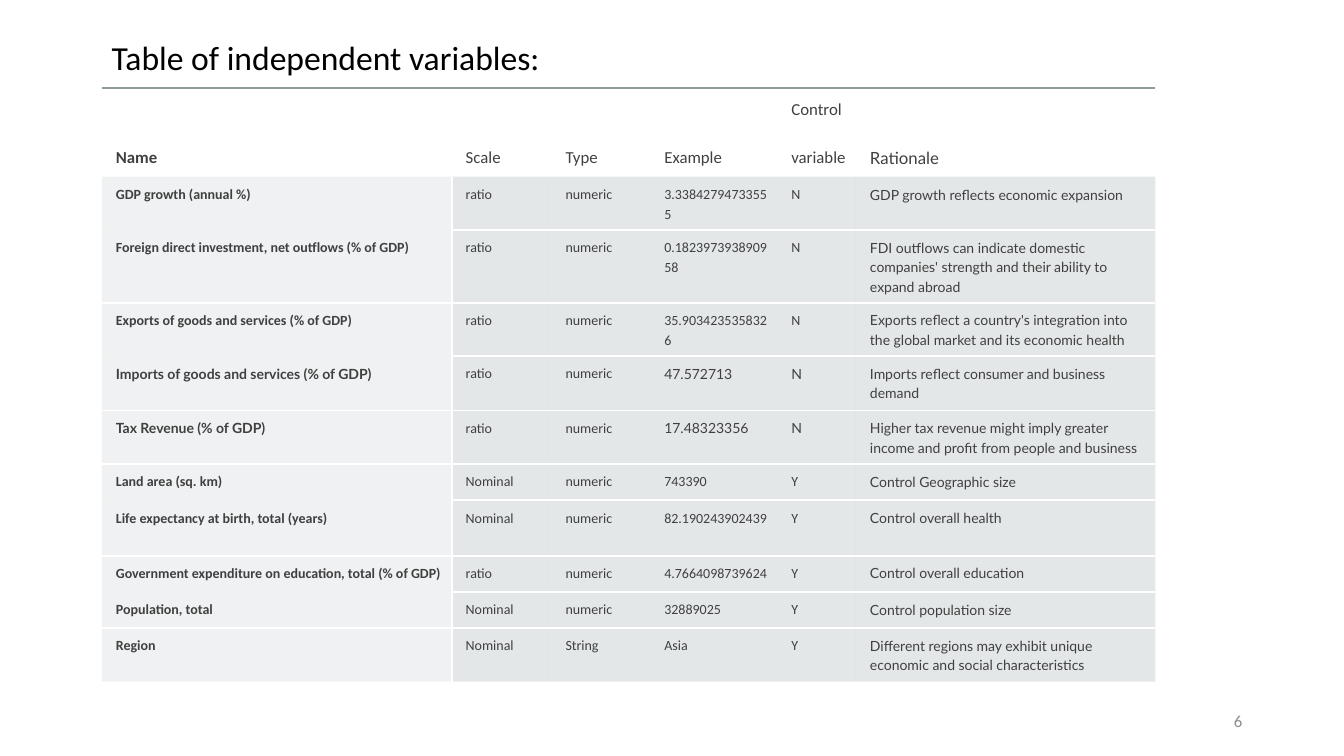
from lxml import etree
from pptx import Presentation
from pptx.dml.color import RGBColor
from pptx.enum.text import MSO_ANCHOR, PP_ALIGN
from pptx.oxml.ns import qn
from pptx.util import Inches, Pt

TOP, MIDDLE, BOTTOM = MSO_ANCHOR.TOP, MSO_ANCHOR.MIDDLE, MSO_ANCHOR.BOTTOM
LEFT, RIGHT = PP_ALIGN.LEFT, PP_ALIGN.RIGHT

COLORS = {
    "title": "000000",
    "text": "404040",
    "number": "8C8C8C",
    "fill": "B4BCBE",
    "rule": "8F9A9D",
    "gap": "FFFFFF",
}
TITLE = "Table of independent variables:"
PAGE_NUMBER = "6"
HEADERS = ["Name", "Scale", "Type", "Example", "Control\nvariable", "Rationale"]
VARIABLES = [
    ("GDP growth (annual %)", "ratio", "numeric", "3.33842794733555", "N",
     "GDP growth reflects economic expansion"),
    ("Foreign direct investment, net outflows (% of GDP)", "ratio", "numeric",
     "0.182397393890958", "N",
     "FDI outflows can indicate domestic companies' strength and their ability to expand abroad"),
    ("Exports of goods and services (% of GDP)", "ratio", "numeric", "35.9034235358326", "N",
     "Exports reflect a country's integration into the global market and its economic health"),
    ("Imports of goods and services (% of GDP)", "ratio", "numeric", "47.572713", "N",
     "Imports reflect consumer and business demand"),
    ("Tax Revenue (% of GDP)", "ratio", "numeric", "17.48323356", "N",
     "Higher tax revenue might imply greater income and profit from people and business"),
    ("Land area (sq. km)", "Nominal", "numeric", "743390", "Y", "Control Geographic size"),
    ("Life expectancy at birth, total (years)", "Nominal", "numeric", "82.190243902439", "Y",
     "Control overall health"),
    ("Government expenditure on education, total (% of GDP)", "ratio", "numeric",
     "4.7664098739624", "Y", "Control overall education"),
    ("Population, total", "Nominal", "numeric", "32889025", "Y", "Control population size"),
    ("Region", "Nominal", "String", "Asia", "Y",
     "Different regions may exhibit unique economic and social characteristics"),
]
COLUMN_WIDTHS = [3.47, 0.99, 0.98, 1.26, 0.78, 2.97]
ROW_HEIGHTS = [0.88, 0.53, 0.72, 0.53, 0.54, 0.53, 0.36, 0.55, 0.36, 0.36, 0.53]
NAME_RULES_BELOW = {2, 4, 5, 7, 9}
LATO_ROWS = {4, 5}
LATO_COLUMNS = {0, 3, 4}


def style_paragraph(para, size, color, font="Calibri", bold=False, align=LEFT):
    para.alignment = align
    for span in para.runs:
        span.font.size = Pt(size)
        span.font.name = font
        span.font.bold = bold
        span.font.color.rgb = RGBColor.from_string(COLORS[color])


def add_text(page, text, left, top, width, height, size, color, anchor=TOP, align=LEFT):
    box = page.shapes.add_textbox(Inches(left), Inches(top), Inches(width), Inches(height))
    frame = box.text_frame
    frame.word_wrap = True
    frame.vertical_anchor = anchor
    frame.text = text
    style_paragraph(frame.paragraphs[0], size, color, align=align)


def set_alpha(color_node, percent):
    etree.SubElement(color_node, qn("a:alpha")).set("val", str(percent * 1000))


def set_borders(cell, borders):
    properties = cell._tc.get_or_add_tcPr()
    for index, side in enumerate(("L", "R", "T", "B")):
        line = etree.Element(qn(f"a:ln{side}"), w=str(Pt(1.5)))
        if side in borders:
            color, percent = borders[side]
            solid = etree.SubElement(line, qn("a:solidFill"))
            node = etree.SubElement(solid, qn("a:srgbClr"), val=COLORS[color])
            if percent < 100:
                set_alpha(node, percent)
        else:
            etree.SubElement(line, qn("a:noFill"))
        properties.insert(index, line)


def fill_cell(cell, percent):
    cell.fill.solid()
    cell.fill.fore_color.rgb = RGBColor.from_string(COLORS["fill"])
    set_alpha(cell._tc.tcPr.find(qn("a:solidFill"))[0], percent)


def body_borders(row, column):
    gap = ("gap", 100)
    borders = {}
    if column == 0:
        borders["R"] = gap
    elif column == 1:
        borders["L"] = gap
    for side, rule in (("T", row - 1), ("B", row)):
        if rule in NAME_RULES_BELOW or (column > 0 and 0 < rule < len(VARIABLES)):
            borders[side] = gap
    return borders


def build_cell(cell, text, row, column):
    header = row == 0
    inset = 0.09 if header else 0.07
    cell.margin_left = Inches(0.14)
    cell.margin_right = cell.margin_top = cell.margin_bottom = Inches(inset)
    cell.vertical_anchor = BOTTOM if header else TOP
    cell.text_frame.text = text
    lato = column == 5 or (row in LATO_ROWS and column in LATO_COLUMNS)
    for index, para in enumerate(cell.text_frame.paragraphs):
        para.line_spacing = 1.15
        para.space_before = Pt(17 * index)
        style_paragraph(para, 12 if header else 10, "text",
                        "Lato" if lato else "Calibri", column == 0)
    if header:
        cell.fill.background()
        set_borders(cell, {"T": ("rule", 100)})
    else:
        fill_cell(cell, 20 if column == 0 else 35)
        set_borders(cell, body_borders(row, column))


def add_variable_table(page):
    rows = [HEADERS, *VARIABLES]
    table = page.shapes.add_table(
        len(rows), len(HEADERS), Inches(1.01), Inches(0.87),
        Inches(sum(COLUMN_WIDTHS)), Inches(sum(ROW_HEIGHTS))).table
    table.first_row = False
    table.horz_banding = False
    for column, width in zip(table.columns, COLUMN_WIDTHS):
        column.width = Inches(width)
    for row, height in zip(table.rows, ROW_HEIGHTS):
        row.height = Inches(height)
    for row, values in enumerate(rows):
        for column, text in enumerate(values):
            build_cell(table.cell(row, column), text, row, column)


def main():
    deck = Presentation()
    deck.slide_width, deck.slide_height = Inches(13.33), Inches(7.5)
    page = deck.slides.add_slide(deck.slide_layouts[6])
    add_variable_table(page)
    add_text(page, TITLE, 1.01, 0.32, 5.94, 0.5, 24, "title")
    add_text(page, PAGE_NUMBER, 9.42, 6.95, 3, 0.4, 12, "number", MIDDLE, RIGHT)
    deck.save("out.pptx")


if __name__ == "__main__":
    main()
